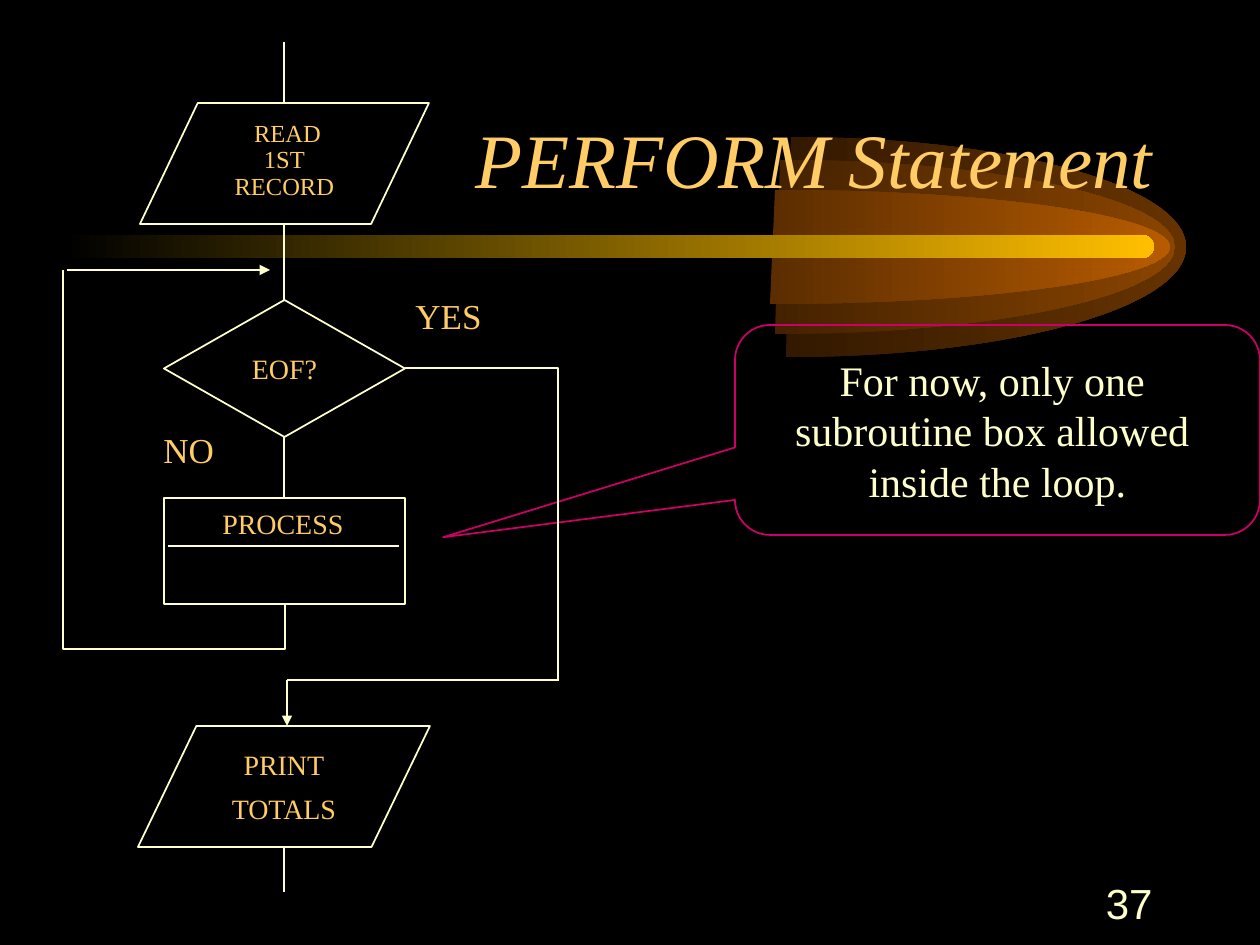
from lxml.etree import SubElement
from pptx import Presentation
from pptx.dml.color import RGBColor
from pptx.enum.shapes import MSO_CONNECTOR as LINK, MSO_SHAPE as SHAPE
from pptx.enum.text import MSO_ANCHOR as ANCHOR, MSO_AUTO_SIZE as FIT, PP_ALIGN as ALIGN
from pptx.oxml.ns import qn
from pptx.util import Pt

PX = 914400 // 126
GOLD, CREAM, PINK, BLACK = "FFCC66", "FFFFCC", "CC0066", "000000"
SERIF = "Times New Roman"


def color(code):
    """Turn a hex string into a colour."""
    return RGBColor.from_string(code)


def write(shape, lines, size, code, align=ALIGN.CENTER, anchor=ANCHOR.MIDDLE,
          font=SERIF, italic=False, before=0, spacing=None, wrap=False):
    """Put one paragraph per line into a shape, all in one style."""
    frame = shape.text_frame
    frame.word_wrap = wrap
    frame.vertical_anchor = anchor
    frame.text = "\n".join(lines)
    for para in frame.paragraphs:
        para.alignment = align
        para.space_before = Pt(before)
        para.line_spacing = spacing
        para.font.name = font
        para.font.size = Pt(size)
        para.font.italic = italic
        para.font.color.rgb = color(code)


deck = Presentation()
deck.slide_width, deck.slide_height = 1260 * PX, 945 * PX
page = deck.slides.add_slide(deck.slide_layouts[6])
page.background.fill.solid()
page.background.fill.fore_color.rgb = color(BLACK)
shapes = page.shapes

# Comet: three half ellipses around one axis, then the bar
AXIS, REACH, LEAN, ROUND = 247, 395, 5, 0.55
comet = []
for left, half, tone in [(791, 110, "663300"), (780, 87, "894400"), (775, 57, "B75B00")]:
    right, top, bottom = left + REACH, AXIS - half, AXIS + half
    builder = shapes.build_freeform(left, top, scale=PX)
    builder.add_line_segments([
        (left + ROUND * REACH, top), (right, AXIS - ROUND * half), (right, AXIS),
        (right, AXIS + ROUND * half), (left + ROUND * REACH, bottom), (left - LEAN, bottom),
    ], close=True)
    part = builder.convert_to_shape()
    # Each run of three points becomes one curve
    steps = list(part._element.iter(qn("a:lnTo")))
    for first, second, third in zip(steps[::3], steps[1::3], steps[2::3]):
        first.tag = qn("a:cubicBezTo")
        for step in (second, third):
            first.append(step[0])
            step.getparent().remove(step)
    dim = "".join(f"{int(tone[i:i + 2], 16) // 2:02X}" for i in (0, 2, 4))
    comet.append((part, dim, tone))
bar = shapes.add_shape(SHAPE.ROUNDED_RECTANGLE, 63 * PX, 235 * PX, 1091 * PX, 23 * PX)
bar.adjustments[0] = 0.5
comet.append((bar, BLACK, "FFBF00"))
for part, start, end in comet:
    part.shadow.inherit = False
    part.line.fill.background()
    part.fill.gradient()
    part.fill.gradient_angle = 0
    for stop, code in zip(part.fill.gradient_stops, (start, end)):
        stop.color.rgb = color(code)

# Outlined boxes
boxes = {}
for name, kind, left, top, width, height, code in [
    ("process", SHAPE.FLOWCHART_PROCESS, 164, 498, 241, 106, CREAM),
    ("print", SHAPE.FLOWCHART_DATA, 138, 726, 292, 121, CREAM),
    ("decision", SHAPE.FLOWCHART_DECISION, 164, 300, 241, 137, CREAM),
    ("read", SHAPE.FLOWCHART_DATA, 140, 103, 289, 121, CREAM),
    ("callout", SHAPE.ROUNDED_RECTANGULAR_CALLOUT, 735, 325, 525, 210, PINK),
]:
    box = shapes.add_shape(kind, left * PX, top * PX, width * PX, height * PX)
    box.shadow.inherit = False
    box.fill.background()
    box.line.color.rgb = color(code)
    box.line.width = Pt(1)
    boxes[name] = box
for i, value in enumerate((-1.056, 0.511, 0.167)):
    boxes["callout"].adjustments[i] = value

write(boxes["print"], ["PRINT", "TOTALS"], 16, GOLD, before=6)
write(boxes["decision"], ["EOF?"], 16, GOLD, before=6)
write(boxes["read"], [" READ", "1ST", "RECORD"], 14, GOLD, before=5.2, spacing=0.6)
write(boxes["callout"], ["For now, only one ", "subroutine box allowed ", "inside the loop."], 24, CREAM)

# Flow lines: start, end, kind
for x1, y1, x2, y2, kind in [
    (284, 847, 284, 892, "line"),
    (284, 42, 284, 103, "line"),
    (284, 224, 284, 300, "line"),
    (284, 437, 284, 498, "line"),
    (168, 546, 399, 546, "line"),
    (559, 680, 287, 680, "line"),
    (67, 270, 270, 270, "arrow"),
    (287, 680, 287, 726, "arrow"),
    (405, 368, 558, 680, "corner"),
    (7, 548, 341, 326, "loop"),
]:
    bent = kind in ("corner", "loop")
    link = shapes.add_connector(LINK.ELBOW if bent else LINK.STRAIGHT,
                                x1 * PX, y1 * PX, x2 * PX, y2 * PX)
    link.line.color.rgb = color(CREAM)
    link.line.width = Pt(1)
    props = link._element.spPr
    if kind == "arrow":
        SubElement(props.find(qn("a:ln")), qn("a:tailEnd"), type="triangle")
    SubElement(props, qn("a:effectLst"))
    geometry = props.find(qn("a:prstGeom"))
    if kind == "corner":
        geometry.set("prst", "bentConnector2")
    if kind == "loop":
        # A quarter turn back makes the line leave downwards and return upwards
        props.find(qn("a:xfrm")).set("rot", str(270 * 60000))
        guides = geometry.find(qn("a:avLst"))
        if guides is None:
            guides = SubElement(geometry, qn("a:avLst"))
        SubElement(guides, qn("a:gd"), name="adj1", fmla="val -13600")

# Free text
tag = dict(align=ALIGN.LEFT, anchor=ANCHOR.TOP)
for text, left, top, width, height, size, code, style in [
    ("PERFORM Statement", 95, 53, 1071, 157, 44, GOLD,
     dict(align=ALIGN.RIGHT, anchor=ANCHOR.BOTTOM, italic=True, wrap=True)),
    ("YES", 403, 288, 92, 55, 20, GOLD, dict(tag, before=7.5)),
    ("NO", 151, 422, 77, 55, 20, GOLD, dict(tag, before=7.5)),
    ("PROCESS", 210, 500, 148, 47, 16, GOLD, dict(tag, before=6)),
    ("37", 903, 871, 262, 63, 24, CREAM, dict(align=ALIGN.RIGHT, font="Arial", wrap=True)),
]:
    label = shapes.add_textbox(left * PX, top * PX, width * PX, height * PX)
    write(label, [text], size, code, **style)
    if not label.text_frame.word_wrap:
        label.text_frame.auto_size = FIT.SHAPE_TO_FIT_TEXT

deck.save("out.pptx")
